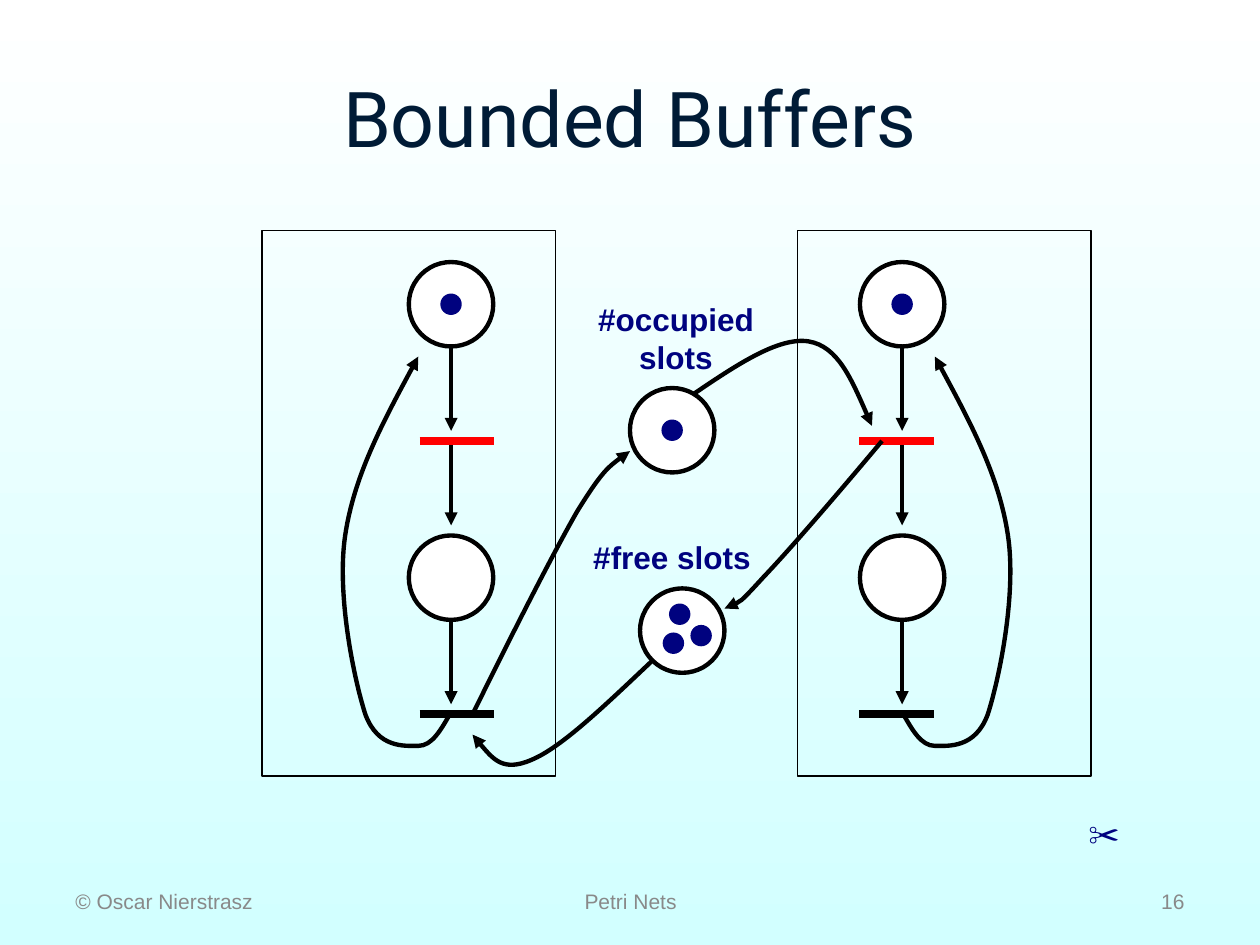
from lxml.etree import SubElement
from pptx import Presentation
from pptx.dml.color import RGBColor
from pptx.enum.shapes import MSO_CONNECTOR, MSO_SHAPE
from pptx.enum.text import MSO_ANCHOR, PP_ALIGN
from pptx.oxml.ns import qn
from pptx.util import Inches, Pt

BLACK, WHITE, RED, NAVY, GREY = "000000", "FFFFFF", "FF0000", "00027F", "898989"
PLACE, TOKEN = 0.67, 0.17
CENTRE = (PLACE - TOKEN) / 2


def paint(color_format, hex_color):
    """Set a colour format from a hex string."""
    color_format.rgb = RGBColor.from_string(hex_color)


def add_text(slide, text, box, size=18, font="Arial", color=NAVY, bold=False,
             align=PP_ALIGN.LEFT, anchor=MSO_ANCHOR.TOP, wrap=True):
    """Put one formatted paragraph in a box."""
    frame = slide.shapes.add_textbox(*map(Inches, box)).text_frame
    frame.word_wrap = wrap
    frame.vertical_anchor = anchor
    paragraph = frame.paragraphs[0]
    paragraph.alignment = align
    run = paragraph.add_run()
    run.text = text
    run.font.size = Pt(size)
    run.font.name = font
    run.font.bold = bold
    paint(run.font.color, color)


def add_preset(slide, preset, box, fill=None, line_width=None):
    """Add a preset shape with an optional fill and black outline."""
    shape = slide.shapes.add_shape(preset, *map(Inches, box))
    shape.shadow.inherit = False
    if fill:
        shape.fill.solid()
        paint(shape.fill.fore_color, fill)
    else:
        shape.fill.background()
    if line_width:
        shape.line.width = Pt(line_width)
        paint(shape.line.color, BLACK)
    else:
        shape.line.fill.background()


def add_arrowhead(shape):
    """End a line with a triangle."""
    outline = shape._element.spPr.find(qn("a:ln"))
    SubElement(outline, qn("a:tailEnd"), type="triangle")


def add_segment(slide, start, end, color=BLACK, width=2.5, arrow=False):
    """Draw a straight line, with an arrowhead if asked."""
    segment = slide.shapes.add_connector(
        MSO_CONNECTOR.STRAIGHT, *map(Inches, (*start, *end)))
    segment.line.width = Pt(width)
    paint(segment.line.color, color)
    if arrow:
        add_arrowhead(segment)
    SubElement(segment._element.spPr, qn("a:effectLst"))


def add_arc(slide, points):
    """Draw a curved arrow from a start point and Bézier triples."""
    start, *rest = [(Inches(x), Inches(y)) for x, y in points]
    builder = slide.shapes.build_freeform(*start)
    builder.add_line_segments(rest, close=False)
    arc = builder.convert_to_shape()
    arc.shadow.inherit = False
    arc.fill.background()
    arc.line.width = Pt(2.5)
    paint(arc.line.color, BLACK)
    add_arrowhead(arc)
    steps = list(arc._element.iter(qn("a:lnTo")))
    outline = steps[0].getparent()
    for first in range(0, len(steps), 3):
        curve = SubElement(outline, qn("a:cubicBezTo"))
        for step in steps[first:first + 3]:
            curve.append(step[0])
            outline.remove(step)


def add_place(slide, left, top, tokens=()):
    """Draw a place and the tokens at their offsets inside it."""
    add_preset(slide, MSO_SHAPE.OVAL, (left, top, PLACE, PLACE), WHITE, 2.5)
    for dx, dy in tokens:
        add_preset(slide, MSO_SHAPE.OVAL, (left + dx, top + dy, TOKEN, TOKEN), NAVY)


def add_process(slide, left, top, width, height, mirrored=False):
    """Draw a framed cycle of two places and two transitions."""
    def across(offset):
        return left + (width - offset if mirrored else offset)

    axis = across(1.5)
    add_preset(slide, MSO_SHAPE.RECTANGLE, (left, top, width, height), line_width=1)
    for offset, tokens in ((0.25, [(CENTRE, CENTRE)]), (2.42, [])):
        add_place(slide, axis - PLACE / 2, top + offset, tokens)
    for offset in (0.92, 1.67, 3.09):
        add_segment(slide, (axis, top + offset), (axis, top + offset + 0.67), arrow=True)
    for offset, color in ((1.67, RED), (3.84, BLACK)):
        add_segment(slide, (across(1.25), top + offset),
                    (across(1.84), top + offset), color, 4.5)
    loop = [(1.49, 3.84), (1.42, 3.96), (1.35, 4.09), (1.24, 4.09),
            (1.13, 4.09), (0.92, 4.11), (0.82, 3.84),
            (0.73, 3.56), (0.59, 2.89), (0.66, 2.42),
            (0.73, 1.95), (0.98, 1.48), (1.24, 1)]
    add_arc(slide, [(across(dx), top + dy) for dx, dy in loop])


def add_buffer(slide, left, top):
    """Draw the slot places, their labels and the arcs to both processes."""
    add_text(slide, "#occupied slots", (left - 0.39, top - 0.75, 1.51, 0.7),
             bold=True, align=PP_ALIGN.CENTER)
    add_text(slide, "#free slots", (left - 0.39, top + 1.14, 1.45, 0.4),
             bold=True, wrap=False)
    add_place(slide, left, top, [(CENTRE, CENTRE)])
    add_place(slide, left + 0.08, top + 1.59, [(0.23, 0.12), (0.18, 0.35), (0.4, 0.29)])
    arcs = [
        [(-1.25, 2.59), (-0.94, 1.96), (-0.62, 1.33), (-0.42, 0.98),
         (-0.21, 0.64), (-0.1, 0.57), (0, 0.5)],
        [(2, 0.42), (1.64, 0.85), (1.27, 1.28), (1.06, 1.5),
         (0.85, 1.73), (0.8, 1.74), (0.75, 1.75)],
        [(0.17, 2.17), (-0.19, 2.51), (-0.54, 2.85), (-0.78, 2.95),
         (-1.01, 3.05), (-1.13, 2.9), (-1.25, 2.75)],
        [(0.5, 0.05), (0.84, -0.18), (1.18, -0.41), (1.42, -0.37),
         (1.65, -0.33), (1.78, -0.02), (1.92, 0.3)],
    ]
    for arc in arcs:
        add_arc(slide, [(left + dx, top + dy) for dx, dy in arc])


def add_footer(slide, top, height):
    """Write the copyright, the topic and the page number."""
    for text, left, width, align in (
            ("© Oscar Nierstrasz", 0.5, 2.33, PP_ALIGN.LEFT),
            ("Petri Nets", 3.42, 3.17, PP_ALIGN.CENTER),
            ("16", 7.17, 2.33, PP_ALIGN.RIGHT)):
        add_text(slide, text, (left, top, width, height), size=12, color=GREY,
                 align=align, anchor=MSO_ANCHOR.MIDDLE)


def add_background(slide):
    """Shade the slide from white at the top to pale cyan."""
    fill = slide.background.fill
    fill.gradient()
    fill.gradient_angle = 270
    for stop, position, color in zip(fill.gradient_stops, (0, 1), (WHITE, "D2FFFF")):
        stop.position = position
        paint(stop.color, color)


def main():
    """Build and save the slide."""
    deck = Presentation()
    deck.slide_width, deck.slide_height = Inches(10), Inches(7.5)
    slide = deck.slides.add_slide(deck.slide_layouts[6])
    add_background(slide)
    add_footer(slide, 6.95, 0.4)
    add_text(slide, "Bounded Buffers", (0.5, 0.3, 9, 1.25), size=44, font="Roboto",
             color="001B36", align=PP_ALIGN.CENTER, anchor=MSO_ANCHOR.MIDDLE)
    add_process(slide, 2.08, 1.83, 2.33, 4.33)
    add_process(slide, 6.33, 1.83, 2.33, 4.33, mirrored=True)
    add_buffer(slide, 5, 3.08)
    add_text(slide, "✂", (8.54, 6.42, 0.27, 0.4), wrap=False)
    deck.save("out.pptx")


if __name__ == "__main__":
    main()
